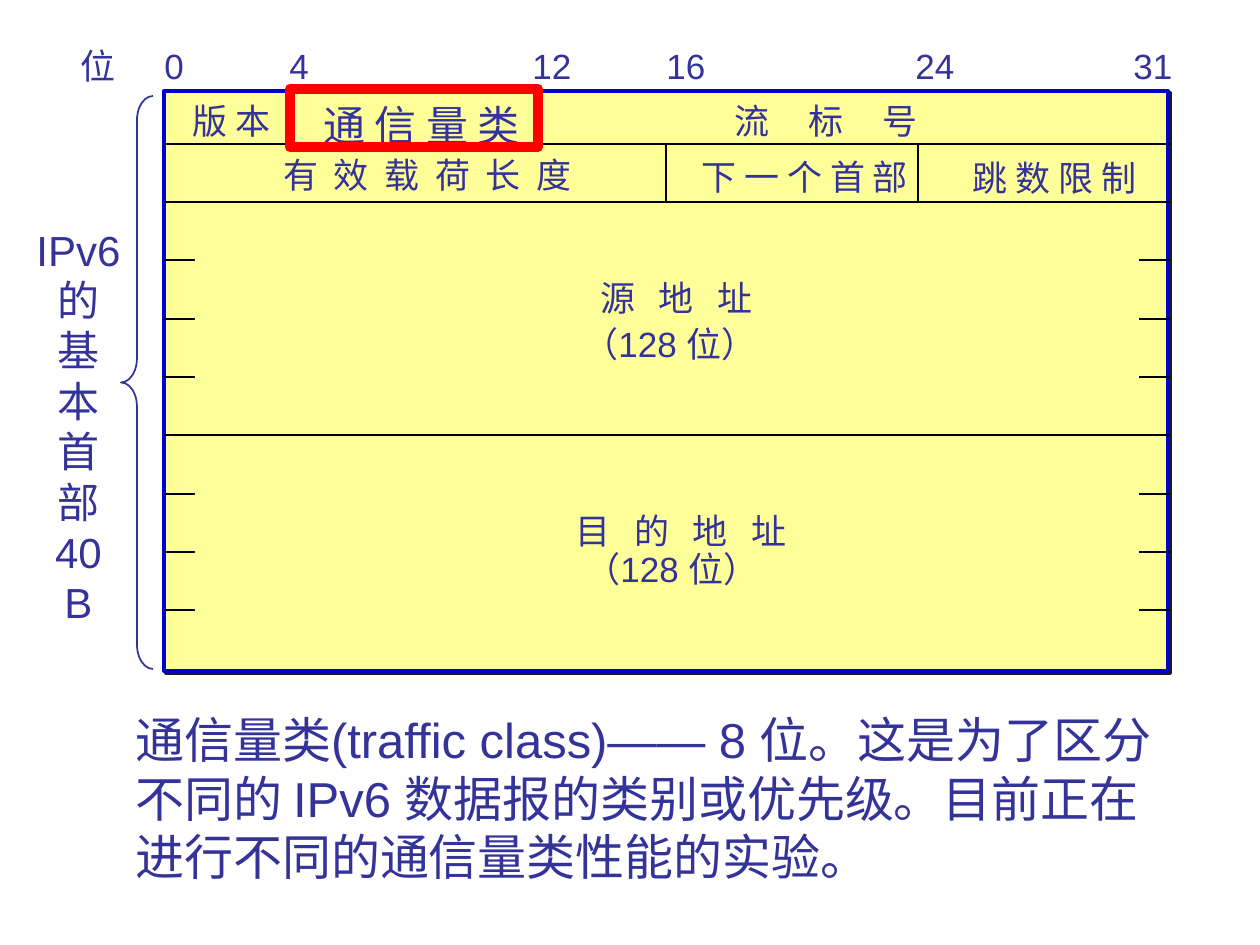
import pptx
import pptx.util
import pptx.dml.color
import pptx.enum.shapes
import pptx.enum.text
import pptx.oxml
import pptx.oxml.ns

PX = 914400 / 126
SHAPE = pptx.enum.shapes.MSO_SHAPE
INK, PAPER, BLACK = "333399", "FFFF99", "000000"

# Bit numbers above the header: text, left, width
BITS = [("位", 68, 60), ("0", 152, 44), ("4", 277, 44), ("12", 520, 64),
        ("16", 654, 64), ("24", 903, 64), ("31", 1121, 64)]

# Header fields: text, left, top, width, size, letter spacing in points
FIELDS = [
    ("版 本", 180, 93, 103, 20, 0),
    ("通 信 量 类", 311, 93, 222, 24, 0),
    ("流 标 号", 722, 93, 225, 20, 8.9),
    ("有 效 载 荷 长 度", 271, 147, 318, 20, 2.2),
    ("下 一 个 首 部", 689, 149, 232, 20, 0),
    ("跳 数 限 制", 960, 150, 189, 20, 0),
    ("源 地 址", 588, 270, 186, 20, 4.5),
    ("（128 位）", 571, 316, 215, 20, 0),
    ("目 的 地 址", 563, 503, 244, 20, 4.5),
    ("（128 位）", 573, 541, 215, 20, 0),
]
SIDE_LABEL = ["IPv6", "的", "基", "本", "首", "部", "40 B"]
NOTE = ("通信量类(traffic class)—— 8 位。这是为了区分不同的 IPv6 数据报的类别或优先级。"
        "目前正在进行不同的通信量类性能的实验。")

# Geometry of the header grid
LEFT, RIGHT, TOP, ROW_1 = 164, 1170, 91, 144
ROW_STEP, BIT_STEP, ROW_LINES = 58.25, 31.4, 9
DIVIDERS = [(4, 0), (12, 0), (16, 1), (24, 1)]  # bit, row
ADDRESS_TOPS = [241, 474]


def px(n):
    return pptx.util.Emu(round(n * PX))


def rgb(value):
    return pptx.dml.color.RGBColor.from_string(value)


def add_shape(s, kind, x, y, w, h, fill=None, line=None, width=1):
    sp = s.shapes.add_shape(kind, px(x), px(y), px(w), px(h))
    sp.shadow.inherit = False
    if fill:
        sp.fill.solid()
        sp.fill.fore_color.rgb = rgb(fill)
    else:
        sp.fill.background()
    if line:
        sp.line.color.rgb = rgb(line)
        sp.line.width = pptx.util.Pt(width)
    else:
        sp.line.fill.background()
    return sp


def add_line(s, x1, y1, x2, y2):
    c = s.shapes.add_connector(pptx.enum.shapes.MSO_CONNECTOR.STRAIGHT,
                               px(x1), px(y1), px(x2), px(y2))
    c.line.color.rgb = rgb(BLACK)
    c.line.width = pptx.util.Pt(1)
    pptx.oxml.ns.qn("a:effectLst")
    c._element.spPr.append(pptx.oxml.parse_xml(
        f'<a:effectLst {pptx.oxml.ns.nsdecls("a")}/>'))


def add_text(s, lines, x, y, w, h, size, wrap=False, spacing=0, align=None):
    tf = s.shapes.add_textbox(px(x), px(y), px(w), px(h)).text_frame
    tf.word_wrap = wrap
    tf.text = "\n".join(lines)
    for p in tf.paragraphs:
        p.alignment = align
        p.font.name = "Arial"
        p.font.size = pptx.util.Pt(size)
        p.font.color.rgb = rgb(INK)
        if spacing:
            p.runs[0]._r.get_or_add_rPr().set("spc", str(round(spacing * 100)))


def row_y(i):
    return ROW_1 + round(i * ROW_STEP)


def main():
    prs = pptx.Presentation()
    prs.slide_width, prs.slide_height = px(1260), px(945)
    s = prs.slides.add_slide(prs.slide_layouts[6])

    # Header frame with a hard shadow
    frame = add_shape(s, SHAPE.RECTANGLE, LEFT, TOP, 1004, 580, PAPER, "0000CC", 2.25)
    effects = frame._element.spPr.find(pptx.oxml.ns.qn("a:effectLst"))
    effects.append(pptx.oxml.parse_xml(
        f'<a:outerShdw {pptx.oxml.ns.nsdecls("a")} dist="17780" dir="2700000">'
        '<a:srgbClr val="1C1C1C"/></a:outerShdw>'))

    # Row lines; the address panels leave only ticks at both ends
    for i in range(ROW_LINES):
        add_line(s, LEFT, row_y(i), RIGHT, row_y(i))
    for y in ADDRESS_TOPS:
        add_shape(s, SHAPE.RECTANGLE, 195, y, 944, 155, PAPER)

    # Field dividers
    for bit, row in DIVIDERS:
        x = LEFT + round(bit * BIT_STEP)
        add_line(s, x, row_y(0) if row else TOP, x, row_y(row))

    # Bit numbers and field names
    for text, x, w in BITS:
        add_text(s, [text], x, 38, w, 54, 20)
    for text, x, y, w, size, spacing in FIELDS:
        add_text(s, [text], x, y, w, 54 if size == 20 else 63, size, spacing=spacing)

    # Brace and its label
    brace = add_shape(s, SHAPE.LEFT_BRACE, 121, 96, 32, 573, line=INK)
    brace.adjustments[0] = 0.76
    add_text(s, SIDE_LABEL, 23, 218, 111, 416, 24,
             align=pptx.enum.text.PP_ALIGN.CENTER)

    # Highlight and explanation
    add_shape(s, SHAPE.RECTANGLE, 290, 89, 248, 58, line="FF0000", width=6)
    add_text(s, [NOTE], 123, 703, 1065, 189, 28, wrap=True)

    prs.save("out.pptx")


if __name__ == "__main__":
    main()
